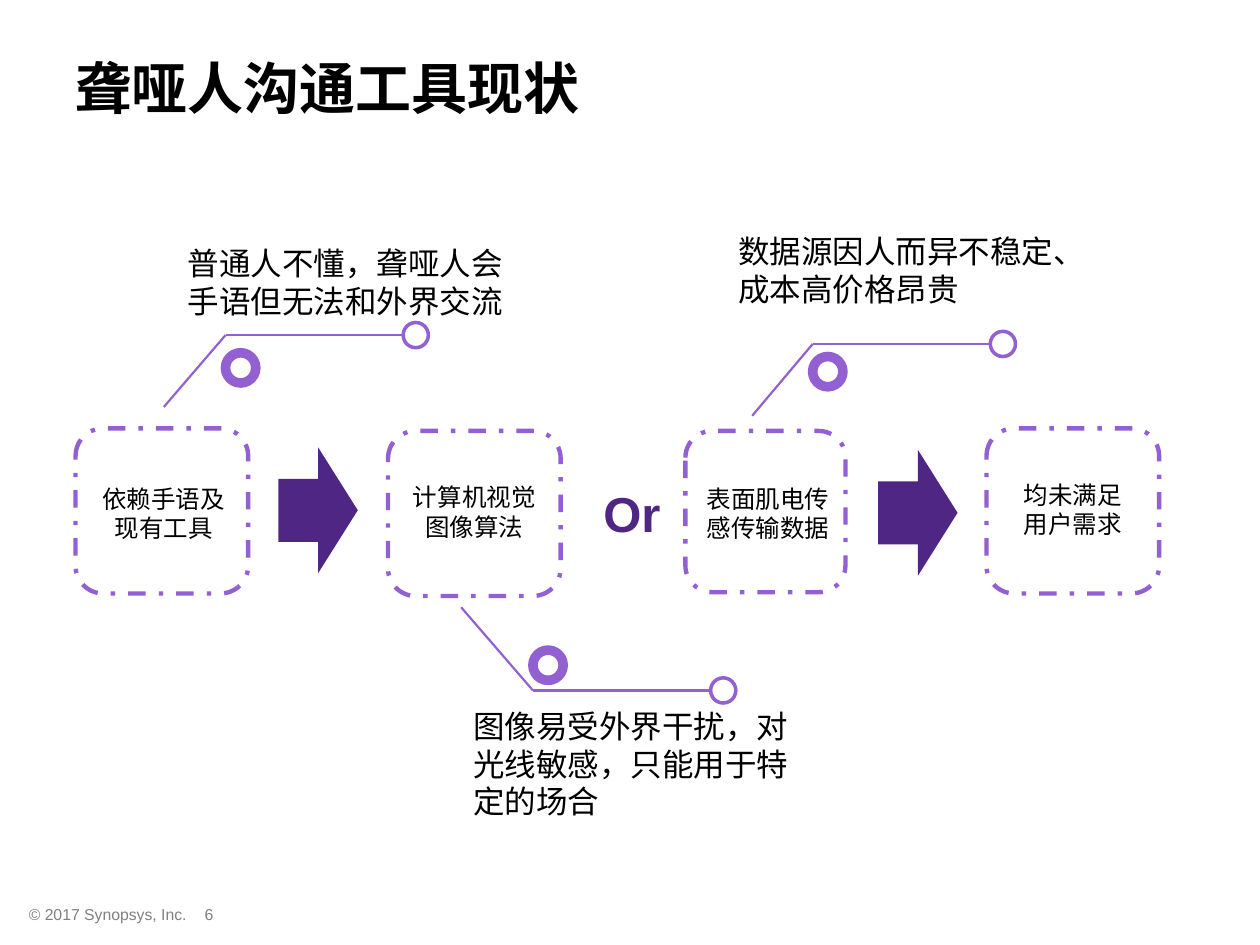
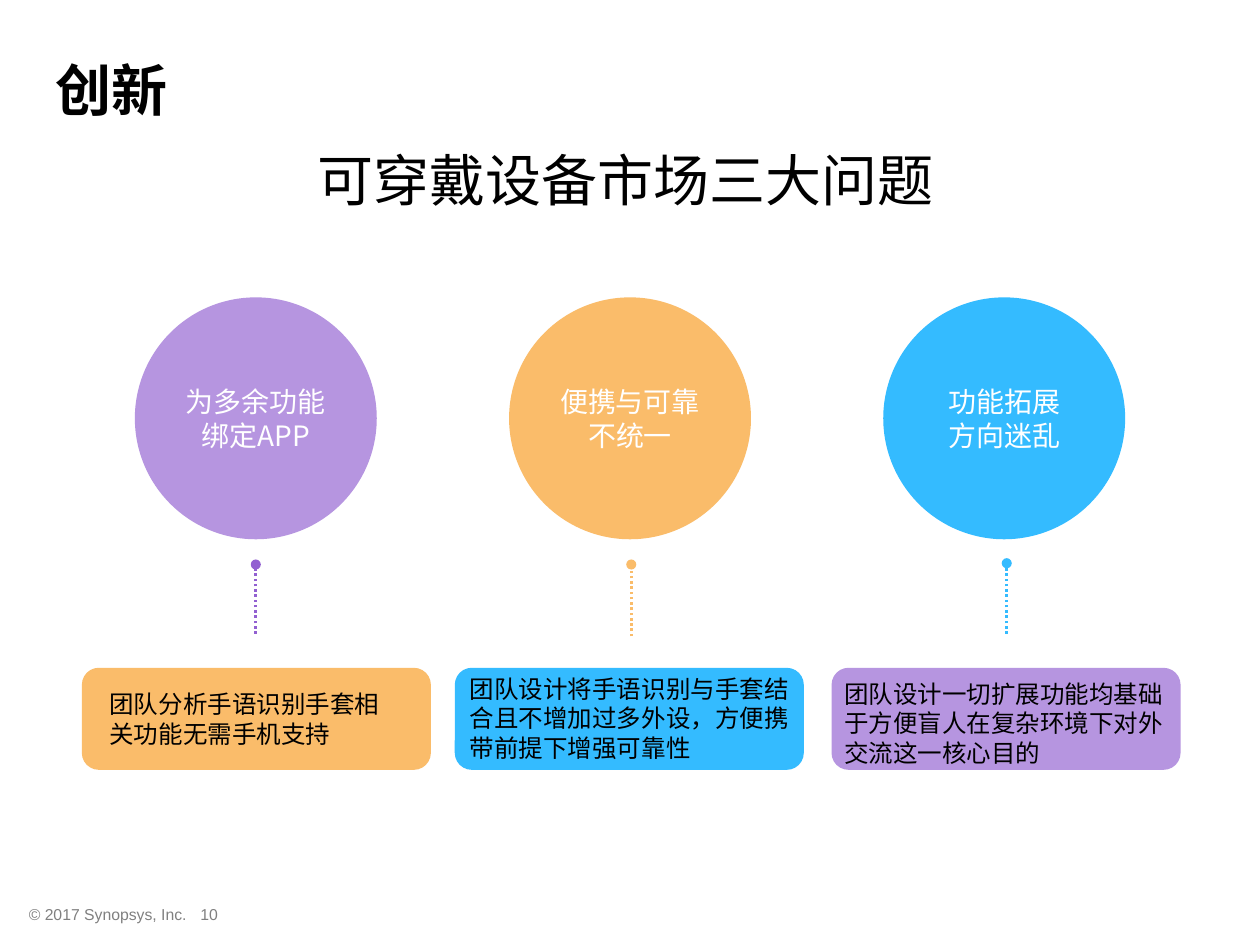
"""Build two slides on sign-language tools and wearable-device problems."""
from lxml import etree
from pptx import Presentation
from pptx.dml.color import RGBColor
from pptx.enum.dml import MSO_LINE
from pptx.enum.shapes import MSO_CONNECTOR, MSO_SHAPE
from pptx.enum.text import MSO_ANCHOR, PP_ALIGN
from pptx.oxml.ns import qn
from pptx.util import Pt

PX = 9144
COLORS = {
    "black": "000000", "white": "FFFFFF", "gray": "808080", "indigo": "4F2683",
    "purple": "9260D1", "lilac": "B695E0", "orange": "FABC6A", "blue": "34BBFF",
}
LATIN, CHINESE = "Arial", "Noto Sans CJK SC"
ROUNDED, OVAL, ARROW = MSO_SHAPE.ROUNDED_RECTANGLE, MSO_SHAPE.OVAL, MSO_SHAPE.RIGHT_ARROW
STRAIGHT = MSO_CONNECTOR.STRAIGHT
DASH_DOT, DOTTED = MSO_LINE.DASH_DOT, MSO_LINE.ROUND_DOT
LEFT, CENTER = PP_ALIGN.LEFT, PP_ALIGN.CENTER
TOP, MIDDLE = MSO_ANCHOR.TOP, MSO_ANCHOR.MIDDLE
LEADING = 1.2


def add_box(page, at, text="", kind=None, fill=None, line=None, width=1, dash=None,
            size=14, font=CHINESE, color="black", bold=False, align=LEFT, anchor=TOP):
    """Add a text box, or a preset shape when a kind is given."""
    place = [value * PX for value in at]
    if kind is None:
        box = page.shapes.add_textbox(*place)
    else:
        box = page.shapes.add_shape(kind, *place)
        box.shadow.inherit = False
        if fill:
            box.fill.solid()
            box.fill.fore_color.rgb = RGBColor.from_string(COLORS[fill])
        else:
            box.fill.background()
        if line:
            box.line.color.rgb = RGBColor.from_string(COLORS[line])
            box.line.width = Pt(width)
            box.line.dash_style = dash
        else:
            box.line.fill.background()
    if text:
        frame = box.text_frame
        frame.word_wrap = True
        frame.vertical_anchor = anchor
        for index, words in enumerate(text.split("\n")):
            para = frame.add_paragraph() if index else frame.paragraphs[0]
            para.alignment = align
            para.line_spacing = Pt(size * LEADING)
            span = para.add_run()
            span.text = words
            span.font.size = Pt(size)
            span.font.bold = bold
            span.font.name = font
            span.font.color.rgb = RGBColor.from_string(COLORS[color])
            east_asian = etree.SubElement(span.font._element, qn("a:ea"))
            east_asian.set("typeface", CHINESE)


def add_line(page, start, end, color, width, dash=None):
    """Add a straight line without a shadow."""
    points = [value * PX for value in (*start, *end)]
    connector = page.shapes.add_connector(STRAIGHT, *points)
    connector.line.color.rgb = RGBColor.from_string(COLORS[color])
    connector.line.width = Pt(width)
    connector.line.dash_style = dash
    etree.SubElement(connector._element.spPr, qn("a:effectLst"))


deck = Presentation()
deck.slide_width, deck.slide_height = 1000 * PX, 750 * PX
pages = []
for title, title_at, title_font, number in [
    ("聋哑人沟通工具现状", (50, 7, 950, 125), LATIN, "6"),
    ("创新", (34, 26, 267, 89), CHINESE, "10"),
]:
    page = deck.slides.add_slide(deck.slide_layouts[6])
    add_box(page, (13, 713, 308, 25), "© 2017 Synopsys, Inc.",
            size=9, font=LATIN, color="gray")
    add_box(page, (131, 713, 70, 25), number,
            size=9, font=LATIN, color="gray", align=CENTER)
    add_box(page, title_at, title, size=32, font=title_font, bold=True, anchor=MIDDLE)
    pages.append(page)
status_page, problems_page = pages

for frame_at, label_at, label in [
    ((60, 340, 137, 131), (71, 379, 118, 57), "依赖手语及现有工具"),
    ((308, 342, 137, 131), (316, 378, 121, 57), "计算机视觉图像算法"),
    ((544, 342, 127, 128), (547, 379, 125, 57), "表面肌电传感传输数据"),
    ((783, 340, 137, 131), (799, 376, 105, 57), "均未满足用户需求"),
]:
    add_box(status_page, frame_at, kind=ROUNDED, line="purple", width=2.5, dash=DASH_DOT)
    add_box(status_page, label_at, label, align=CENTER)

for left, top in [(221, 355), (697, 357)]:
    add_box(status_page, (left, top, 63, 100), kind=ARROW, fill="indigo")
add_box(status_page, (469, 379, 74, 57), "Or",
        size=28, font=LATIN, color="indigo", bold=True)

for start, elbow, ring_top, note_at, note in [
    ((130, 323), (179, 266), 280, (139, 189, 277, 71),
     "普通人不懂，聋哑人会手语但无法和外界交流"),
    ((366, 482), (423, 548), 516, (366, 556, 277, 101),
     "图像易受外界干扰，对光线敏感，只能用于特定的场合"),
    ((597, 330), (645, 273), 283, (576, 179, 277, 71),
     "数据源因人而异不稳定、成本高价格昂贵"),
]:
    elbow_x, elbow_y = elbow
    tip_x = elbow_x + 141
    add_line(status_page, start, elbow, "purple", 1.25)
    add_line(status_page, elbow, (tip_x, elbow_y), "purple", 1.25)
    add_box(status_page, (elbow_x, ring_top, 24, 24), kind=OVAL,
            fill="white", line="purple", width=5.5)
    add_box(status_page, (tip_x, elbow_y - 10, 20, 20), kind=OVAL,
            fill="white", line="purple", width=2)
    add_box(status_page, note_at, note, size=18, font=LATIN)

add_box(problems_page, (242, 111, 515, 64), "可穿戴设备市场三大问题", size=32, font=LATIN)

for index, (problem, circle_fill, dot_fill, stem, card_left, card_fill, answer_at, answer) in enumerate([
    ("为多余功能绑定APP", "lilac", "purple", (203, 444, 503), 65, "orange",
     (77, 542, 252, 57), "团队分析手语识别手套相关功能无需手机支持"),
    ("便携与可靠不统一", "orange", "orange", (501, 444, 505), 361, "blue",
     (363, 530, 275, 81), "团队设计将手语识别与手套结合且不增加过多外设，方便携带前提下增强可靠性"),
    ("功能拓展\n方向迷乱", "blue", "blue", (799, 443, 503), 660, "lilac",
     (660, 534, 275, 81), "团队设计一切扩展功能均基础于方便盲人在复杂环境下对外交流这一核心目的"),
]):
    stem_x, dot_top, stem_end = stem
    add_box(problems_page, (107 + 297 * index, 236, 192, 192), problem, kind=OVAL,
            fill=circle_fill, size=16, color="white", align=CENTER, anchor=MIDDLE)
    add_line(problems_page, (stem_x, stem_end), (stem_x, dot_top + 2), dot_fill, 1.5, DOTTED)
    add_box(problems_page, (stem_x - 4, dot_top, 8, 8), kind=OVAL, fill=dot_fill)
    add_box(problems_page, (card_left, 530, 277, 81), kind=ROUNDED, fill=card_fill)
    add_box(problems_page, answer_at, answer)

deck.save("out.pptx")
